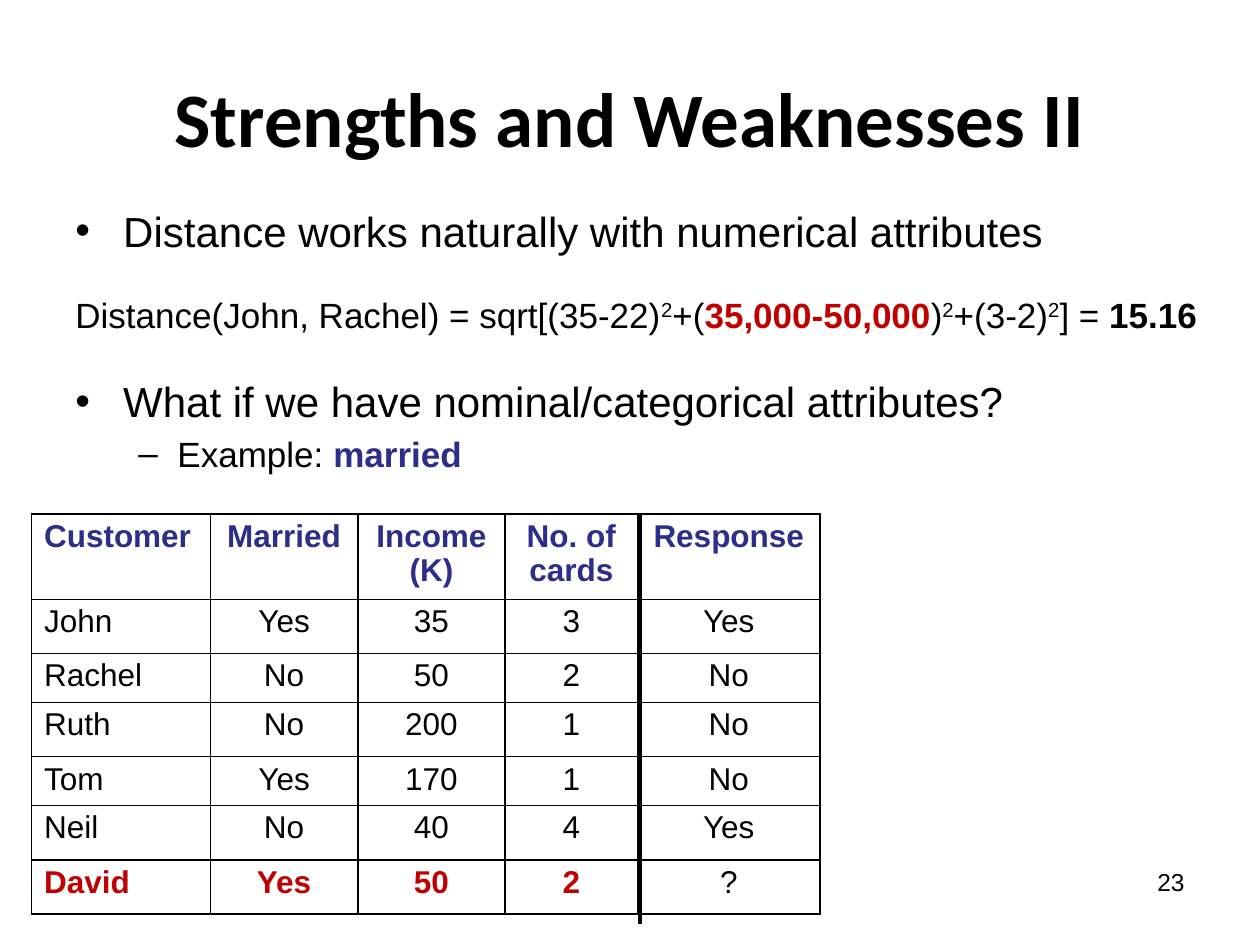
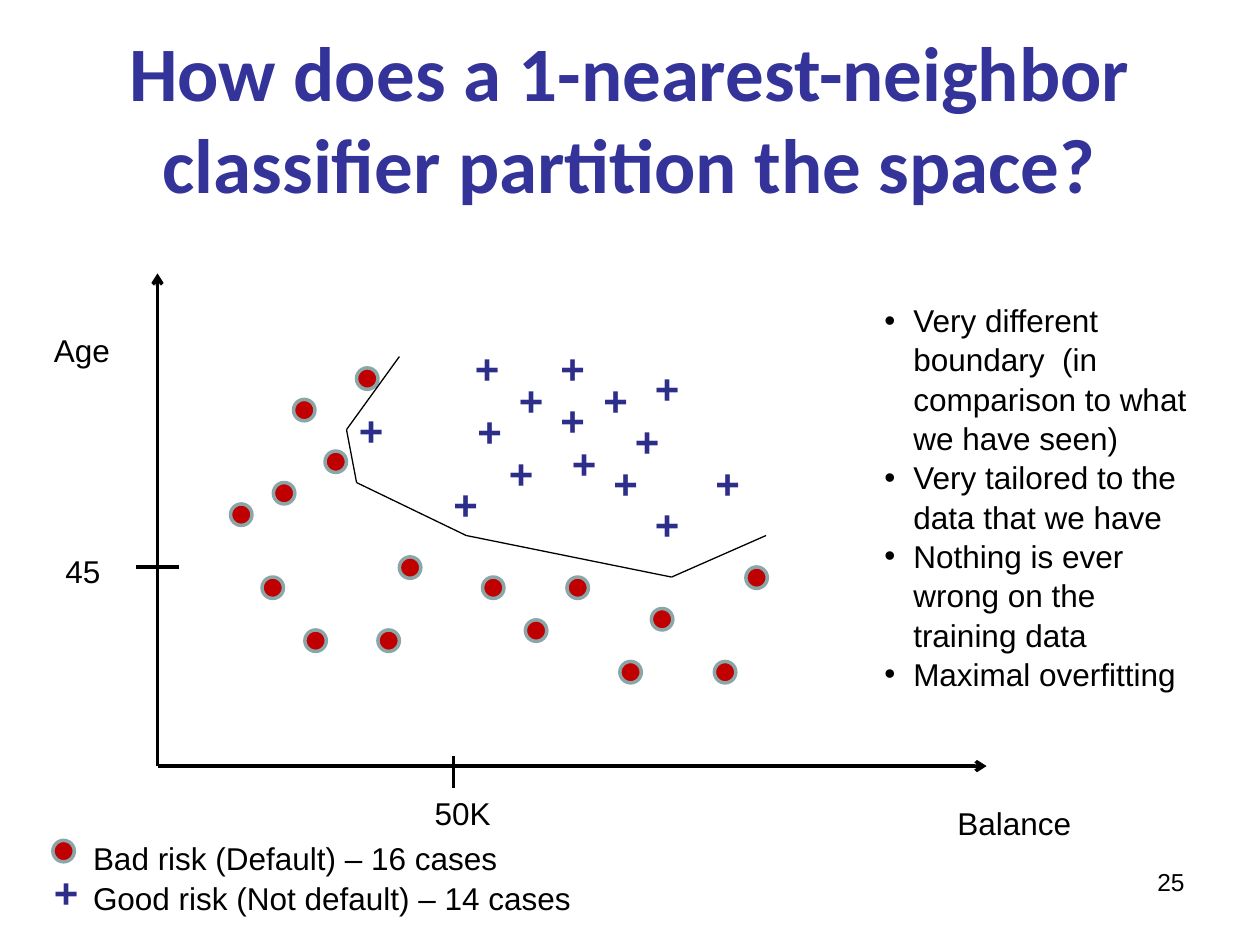
from itertools import pairwise

from lxml import etree
from pptx import Presentation
from pptx.dml.color import RGBColor
from pptx.enum.shapes import MSO_CONNECTOR, MSO_SHAPE
from pptx.enum.text import MSO_ANCHOR, PP_ALIGN
from pptx.oxml.ns import qn
from pptx.util import Inches, Pt

LEFT, CENTER, RIGHT = PP_ALIGN.LEFT, PP_ALIGN.CENTER, PP_ALIGN.RIGHT
MIDDLE = MSO_ANCHOR.MIDDLE
STRAIGHT = MSO_CONNECTOR.STRAIGHT
OVAL = MSO_SHAPE.OVAL

COLORS = {
    "text": "000000",
    "background": "FFFFFF",
    "title": "333399",
    "accent": "2D2D8A",
    "alert": "C00000",
    "outline": "8AA6A8",
}
TITLE_FONT, BODY_FONT = "Calibri", "Arial"
DOT_SIZE = 0.17
PLUS_WIDTH, PLUS_HEIGHT = 0.4, 0.5


def color(name):
    """Return the named colour as an RGBColor."""
    return RGBColor.from_string(COLORS[name])


class Deck:
    """Holds the presentation, its style and the current slide."""

    def __init__(self):
        """Start an empty 4:3 presentation."""
        self.presentation = Presentation()
        self.presentation.slide_width = Inches(10)
        self.presentation.slide_height = Inches(7.5)
        self.slide = None

    def add_slide(self, title, number, title_color="text"):
        """Start a slide with its title and page number."""
        self.slide = self.presentation.slides.add_slide(
            self.presentation.slide_layouts[6])
        frame = self.frame(0.5, 0.3, 9, 1.25)
        frame.vertical_anchor = MIDDLE
        self.fill_paragraph(frame.paragraphs[0], title, 44, title_color, True,
                            CENTER, TITLE_FONT)
        self.text(7.17, 6.83, 2.33, 0.52, [str(number)], 14, align=RIGHT)

    def frame(self, left, top, width, height, wrap=True):
        """Add a text box and return its text frame."""
        box = self.slide.shapes.add_textbox(
            Inches(left), Inches(top), Inches(width), Inches(height))
        box.text_frame.word_wrap = wrap
        return box.text_frame

    def fill_paragraph(self, paragraph, content, size=18, ink="text",
                       bold=False, align=LEFT, font=BODY_FONT):
        """Fill a paragraph with text or with (text, style) runs."""
        runs = [(content, "")] if isinstance(content, str) else content
        paragraph.alignment = align
        paragraph.font.name = font
        paragraph.font.size = Pt(size)
        paragraph.font.bold = bold
        paragraph.font.color.rgb = color(ink)
        for words, style in runs:
            run = paragraph.add_run()
            run.text = words
            if style == "super":
                run._r.get_or_add_rPr().set("baseline", "30000")
            elif style:
                run.font.bold = True
                run.font.color.rgb = color(style)

    def indent(self, paragraph, left, hanging, bullet=None):
        """Set a hanging indent and, if given, a bullet."""
        properties = paragraph._p.get_or_add_pPr()
        properties.set("marL", str(Inches(left)))
        properties.set("indent", str(-Inches(hanging)))
        if bullet:
            font = etree.Element(qn("a:buFont"), typeface=BODY_FONT)
            mark = etree.Element(qn("a:buChar"), char=bullet)
            defaults = properties.find(qn("a:defRPr"))
            defaults.addprevious(font)
            defaults.addprevious(mark)

    def text(self, left, top, width, height, lines, size=18, ink="text",
             bold=False, align=LEFT, wrap=True, spacing=None, bullet=None):
        """Add a text box with one paragraph for each line."""
        frame = self.frame(left, top, width, height, wrap)
        for index, line in enumerate(lines):
            paragraph = frame.add_paragraph() if index else frame.paragraphs[0]
            self.fill_paragraph(paragraph, line, size, ink, bold, align)
            if spacing:
                paragraph.line_spacing = spacing
            if bullet:
                self.indent(paragraph, 0.23, 0.23, bullet)

    def outline(self, left, top, width, height, items):
        """Add text from (content, size, gap, left, hanging, bullet) items."""
        frame = self.frame(left, top, width, height)
        for index, (content, size, gap, *indent) in enumerate(items):
            paragraph = frame.add_paragraph() if index else frame.paragraphs[0]
            self.fill_paragraph(paragraph, content, size)
            paragraph.space_before = Pt(gap)
            self.indent(paragraph, *indent)

    def line(self, start, end, width=2.0, arrow=False):
        """Add a straight line, with an arrowhead at its end if asked."""
        connector = self.slide.shapes.add_connector(
            STRAIGHT, *(Inches(value) for value in (*start, *end)))
        connector.line.color.rgb = color("text")
        connector.line.width = Pt(width)
        if arrow:
            etree.SubElement(connector.line._get_or_add_ln(),
                             qn("a:tailEnd"), type="arrow")
        etree.SubElement(connector._element.spPr, qn("a:effectLst"))

    def dot(self, left, top):
        """Add the marker of a bad risk."""
        shape = self.slide.shapes.add_shape(
            OVAL, Inches(left), Inches(top), Inches(DOT_SIZE), Inches(DOT_SIZE))
        shape.shadow.inherit = False
        shape.fill.solid()
        shape.fill.fore_color.rgb = color("alert")
        shape.line.color.rgb = color("outline")
        shape.line.width = Pt(2)

    def plus(self, left, top):
        """Add the marker of a good risk."""
        self.text(left, top, PLUS_WIDTH, PLUS_HEIGHT, ["+"], 24, "accent",
                  True, wrap=False)

    def label(self, left, top, width, words):
        """Add a one-line chart label."""
        self.text(left, top, width, 0.4, [words], wrap=False)

    def border(self, cell):
        """Draw a thin line on each side of a table cell."""
        properties = cell._tc.get_or_add_tcPr()
        for side in ("lnL", "lnR", "lnT", "lnB"):
            edge = etree.SubElement(properties, qn(f"a:{side}"),
                                    w=str(Pt(1)))
            fill = etree.SubElement(edge, qn("a:solidFill"))
            etree.SubElement(fill, qn("a:srgbClr"), val=COLORS["text"])

    def table(self, left, top, widths, heights, rows, cell_ink):
        """Add a bordered table; cell_ink gives the colour of a cell."""
        table = self.slide.shapes.add_table(
            len(rows), len(widths), Inches(left), Inches(top),
            Inches(sum(widths)), Inches(sum(heights))).table
        table.first_row = table.horz_banding = False
        for column, width in zip(table.columns, widths):
            column.width = Inches(width)
        for row, height in zip(table.rows, heights):
            row.height = Inches(height)
        for row_index, values in enumerate(rows):
            for column_index, value in enumerate(values):
                cell = table.cell(row_index, column_index)
                self.border(cell)
                cell.fill.solid()
                cell.fill.fore_color.rgb = color("background")
                ink = cell_ink(row_index, column_index)
                frame = cell.text_frame
                for index, words in enumerate(value.split("\n")):
                    paragraph = (frame.add_paragraph() if index
                                 else frame.paragraphs[0])
                    self.fill_paragraph(paragraph, words, 18, ink,
                                        ink != "text",
                                        CENTER if column_index else LEFT)
                    paragraph.line_spacing = 0.96


CUSTOMERS = [
    ("Customer", "Married", "Income\n(K)", "No. of cards", "Response"),
    ("John", "Yes", "35", "3", "Yes"),
    ("Rachel", "No", "50", "2", "No"),
    ("Ruth", "No", "200", "1", "No"),
    ("Tom", "Yes", "170", "1", "No"),
    ("Neil", "No", "40", "4", "Yes"),
    ("David", "Yes", "50", "2", "?"),
]
BAD_RISKS = [
    (2.33, 3.17), (2.83, 2.92), (2.58, 3.58), (2.17, 3.83), (1.83, 4),
    (2.08, 4.58), (2.42, 5), (5.92, 4.5), (3, 5), (3.17, 4.42), (4.17, 4.92),
    (3.83, 4.58), (4.5, 4.58), (4.92, 5.25), (5.17, 4.83), (5.67, 5.25),
]
GOOD_RISKS = [
    (2.75, 3.16), (3.5, 3.75), (3.69, 3.17), (3.94, 3.5), (4.02, 2.92),
    (3.67, 2.67), (5.1, 3.91), (4.44, 3.42), (4.69, 2.92), (4.77, 3.58),
    (4.35, 2.67), (4.35, 3.08), (5.1, 2.83), (4.94, 3.25), (5.58, 3.58),
]
BOUNDARY = [(3.17, 2.83), (2.75, 3.41), (2.83, 3.83), (3.7, 4.25),
            (5.33, 4.58), (6.08, 4.25)]


def customer_ink(row, column):
    """Colour the header and the known values of the new customer."""
    if row == 0:
        return "accent"
    is_new = row == len(CUSTOMERS) - 1
    return "alert" if is_new and column < 4 else "text"


def build_strengths(deck):
    """Build the slide on numerical and categorical attributes."""
    deck.add_slide("Strengths and Weaknesses II", 23)
    distance = [
        ("Distance(John, Rachel) = sqrt[(35-22)", ""), ("2", "super"),
        ("+(", ""), ("35,000-50,000", "alert"), (")", ""), ("2", "super"),
        ("+(3-2)", ""), ("2", "super"), ("] = ", ""), ("15.16", "text"),
    ]
    deck.outline(0.5, 1.58, 9.17, 2.5, [
        ("Distance works naturally with numerical attributes",
         24, 4.8, 0.38, 0.38, "•"),
        (distance, 20, 21.5, 0.38, 0.38),
        ("What if we have nominal/categorical attributes?",
         24, 23, 0.38, 0.38, "•"),
        ([("Example: ", ""), ("married", "accent")],
         20, 4, 0.81, 0.31, "–"),
    ])
    deck.table(0.25, 4.08, [1.42, 1.17, 1.17, 1.05, 1.45],
               [0.65, 0.43, 0.38, 0.43, 0.38, 0.43, 0.43],
               CUSTOMERS, customer_ink)
    deck.line((5.08, 4.08), (5.08, 7.33), 2.5)


def build_partition(deck):
    """Build the slide with the scatter of risks and their boundary."""
    deck.add_slide("How does a 1-nearest-neighbor classifier "
                   "partition the space?", 25, "title")
    origin = (1.25, 6.08)
    deck.line(origin, (1.25, 2.17), arrow=True)
    deck.line(origin, (7.83, 6.08), arrow=True)
    deck.line((1.08, 4.5), (1.42, 4.5))
    deck.line((3.6, 6), (3.6, 6.25))
    for position in BAD_RISKS:
        deck.dot(*position)
    for position in GOOD_RISKS:
        deck.plus(*position)
    for start, end in pairwise(BOUNDARY):
        deck.line(start, end, 0.75)

    deck.label(0.42, 4.33, 0.48, "45")
    deck.label(0.33, 2.58, 0.65, "Age")
    deck.label(7.5, 6.33, 1.11, "Balance")
    deck.label(3.35, 6.25, 0.65, "50K")

    deck.dot(0.42, 6.67)
    deck.plus(0.33, 6.83)
    deck.text(0.64, 6.6, 4.07, 0.71, [
        "Bad risk (Default) – 16 cases",
        "Good risk (Not default) – 14 cases",
    ], spacing=1.04)
    deck.text(6.92, 2.33, 2.75, 2.83, [
        "Very different boundary  (in comparison to what we have seen)",
        "Very tailored to the data that we have",
        "Nothing is ever wrong on the training data",
        "Maximal overfitting",
    ], spacing=1.04, bullet="•")


deck = Deck()
build_strengths(deck)
build_partition(deck)
deck.presentation.save("out.pptx")
